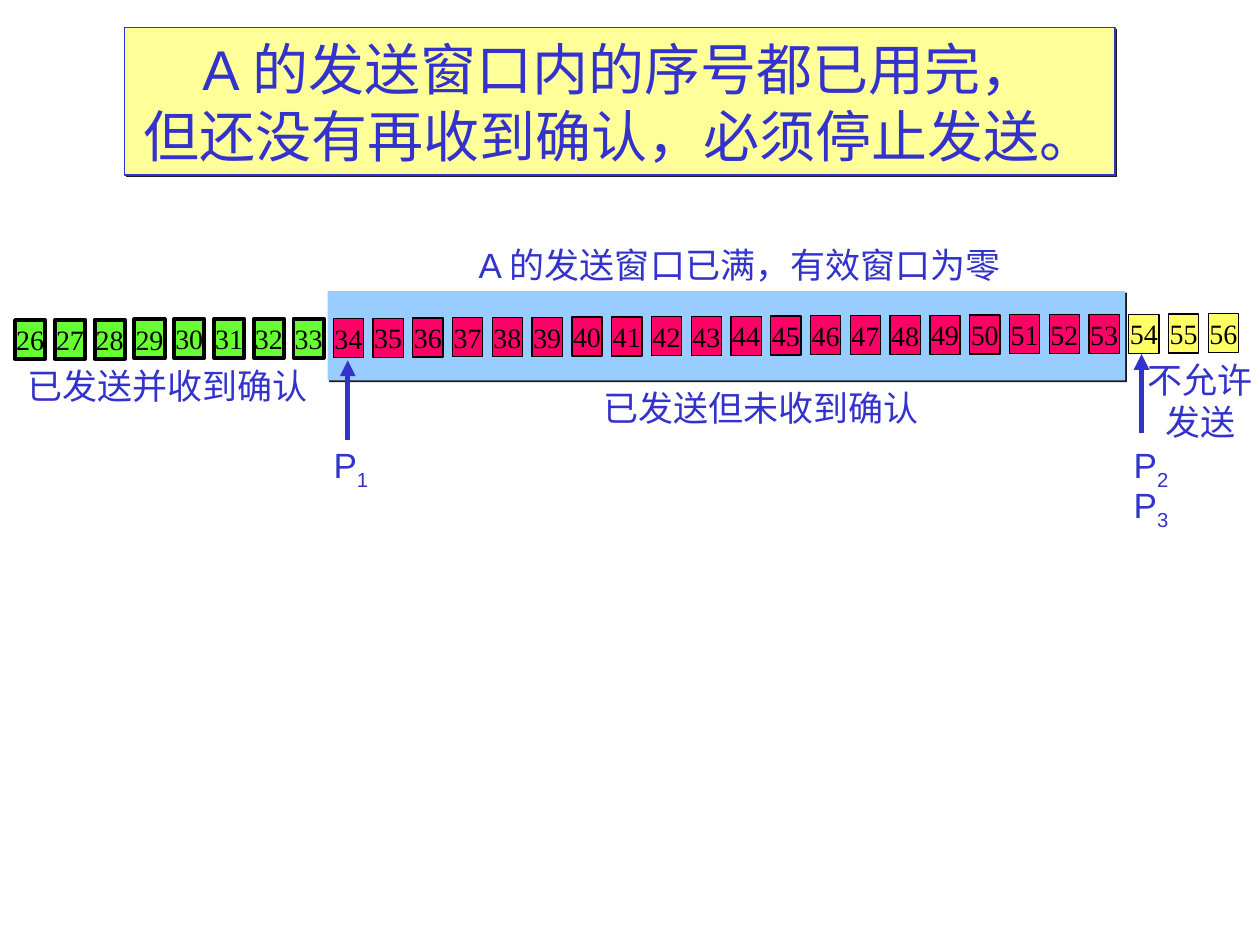
"""Build a slide showing a full send window in a sliding-window protocol."""
from dataclasses import dataclass

from lxml.etree import SubElement
from pptx import Presentation
from pptx.dml.color import RGBColor
from pptx.enum.shapes import MSO_CONNECTOR, MSO_SHAPE
from pptx.enum.text import MSO_ANCHOR, MSO_AUTO_SIZE, PP_ALIGN
from pptx.oxml.ns import qn
from pptx.util import Inches, Pt


@dataclass(frozen=True)
class Theme:
    """Colours, fonts and type sizes of the slide."""
    ink: str = "3333CC"
    black: str = "000000"
    white: str = "FFFFFF"
    banner: str = "FFFF99"
    window: str = "99CCFF"
    shadow: str = "1C1C1C"
    confirmed: str = "66FF33"
    sent: str = "FF0066"
    blocked: str = "FFFF66"
    sans: str = "Arial"
    serif: str = "Times New Roman"
    title: int = 32
    label: int = 20
    number: int = 16


THEME = Theme()


def box(x, y, w, h):
    """Convert a position and size to lengths."""
    return [Inches(v) for v in (x, y, w, h)]


def fill(sp, color):
    """Give a shape a solid fill."""
    sp.fill.solid()
    sp.fill.fore_color.rgb = RGBColor.from_string(color)


def outline(sp, color, width):
    """Give a shape or connector a solid line."""
    sp.line.color.rgb = RGBColor.from_string(color)
    sp.line.width = Pt(width)


def drop_shadow(sp):
    """Add a hard shadow to the lower right."""
    sp.shadow.inherit = False
    effects = sp._element.spPr.find(qn("a:effectLst"))
    shadow = SubElement(effects, qn("a:outerShdw"), blurRad="0",
                        dist=str(Pt(1.4)), dir="2700000", algn="ctr", rotWithShape="0")
    SubElement(shadow, qn("a:srgbClr"), val=THEME.shadow)


def style(r, size, font=THEME.sans, color=THEME.ink):
    """Format one run."""
    r.font.size = Pt(size)
    r.font.name = font
    r.font.color.rgb = RGBColor.from_string(color)


def write(tf, text, size, font=THEME.sans, color=THEME.ink, align=PP_ALIGN.CENTER):
    """Set the text of a frame and format its runs."""
    tf.text = text
    tf.word_wrap = False
    tf.auto_size = MSO_AUTO_SIZE.NONE
    for p in tf.paragraphs:
        p.alignment = align
        for r in p.runs:
            style(r, size, font, color)


def add_title(s, text):
    """Turn the title placeholder into the framed banner."""
    sp = s.shapes.title
    sp.left, sp.top, sp.width, sp.height = box(0.99, 0.22, 7.86, 1.17)
    fill(sp, THEME.banner)
    outline(sp, THEME.ink, 0.75)
    drop_shadow(sp)
    write(sp.text_frame, text, THEME.title)
    sp.text_frame.vertical_anchor = MSO_ANCHOR.TOP


def add_label(s, text, x, y, w, h=0.44, align=PP_ALIGN.CENTER, back=None):
    """Add a one-line-per-paragraph caption with room to spare at its sides."""
    sp = s.shapes.add_textbox(*box(x, y, w, h))
    if back:
        fill(sp, back)
    tf = sp.text_frame
    write(tf, text, THEME.label, align=align)
    tf.margin_left = Inches(0.1 if align == PP_ALIGN.LEFT else 0)
    tf.margin_right = 0
    return sp


def add_pointer_name(s, index, x, y):
    """Add the letter P with a subscript index."""
    sp = add_label(s, "P", x, y, 0.47, 0.48)
    r = sp.text_frame.paragraphs[0].add_run()
    r.text = index
    style(r, THEME.label)
    r._r.get_or_add_rPr().set("baseline", "-25000")


def add_pointer(s, x, bottom, top):
    """Add an arrow that points up at a sequence number."""
    sp = s.shapes.add_connector(MSO_CONNECTOR.STRAIGHT, *box(x, bottom, x, top))
    outline(sp, THEME.ink, 3)
    SubElement(sp.line._get_or_add_ln(), qn("a:tailEnd"), type="triangle")
    SubElement(sp._element.spPr, qn("a:effectLst"))


def add_window(s):
    """Add the band that marks the send window."""
    sp = s.shapes.add_shape(MSO_SHAPE.RECTANGLE, *box(2.6, 2.31, 6.33, 0.71))
    fill(sp, THEME.window)
    sp.line.fill.background()
    drop_shadow(sp)


def add_numbers(s, first=26, last=56):
    """Add the slightly rising row of sequence numbers."""
    step, rise = 9.47 / (last - first), 0.05 / (last - first)
    for i, n in enumerate(range(first, last + 1)):
        sp = s.shapes.add_shape(MSO_SHAPE.RECTANGLE,
                                *box(0.12 + i * step, 2.54 - i * rise, 0.24, 0.31))
        sp.shadow.inherit = False
        color = THEME.confirmed if n < 34 else THEME.sent if n < 54 else THEME.blocked
        fill(sp, color)
        outline(sp, THEME.black, 2.25 if n < 34 else 0.75)
        write(sp.text_frame, str(n), THEME.number, THEME.serif, THEME.black)
        sp.text_frame.vertical_anchor = MSO_ANCHOR.MIDDLE


def main():
    """Build and save the slide."""
    prs = Presentation()
    prs.slide_width, prs.slide_height = Inches(10), Inches(7.5)
    s = prs.slides.add_slide(prs.slide_layouts[5])
    add_title(s, "A 的发送窗口内的序号都已用完，\n但还没有再收到确认，必须停止发送。 ")
    add_label(s, "不允许\n发送", 9.01, 2.8, 1.03, 0.77)
    add_label(s, "已发送并收到确认", 0.12, 2.84, 2.42, back=THEME.white)
    add_label(s, "A 的发送窗口已满，有效窗口为零", 3.7, 1.88, 4.42,
              align=PP_ALIGN.LEFT, back=THEME.white)
    add_window(s)
    add_numbers(s)
    add_label(s, "已发送但未收到确认", 4.69, 3.02, 2.7, align=PP_ALIGN.LEFT)
    add_pointer(s, 2.76, 3.49, 2.86)
    add_pointer(s, 9.06, 3.44, 2.81)
    for index, x, y in (("1", 2.55, 3.47), ("2", 8.9, 3.47), ("3", 8.9, 3.79)):
        add_pointer_name(s, index, x, y)
    prs.save("out.pptx")


if __name__ == "__main__":
    main()
